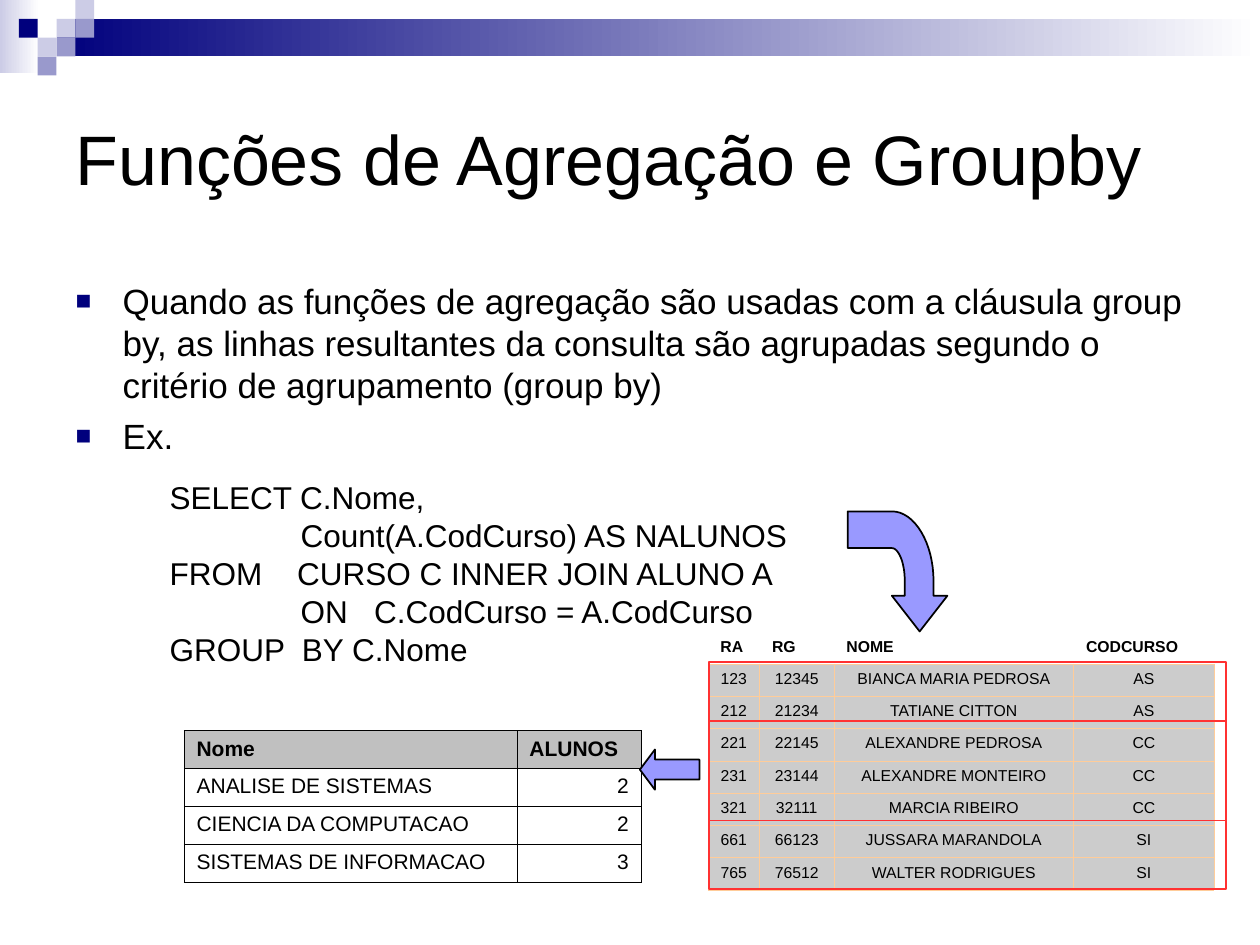
from dataclasses import dataclass
from typing import Any, NamedTuple, Optional, Sequence

import pptx
import pptx.dml.color
import pptx.enum.shapes
import pptx.enum.text
import pptx.oxml.xmlchemy
import pptx.util
from lxml import etree

Cm = pptx.util.Cm
Pt = pptx.util.Pt
Align = pptx.enum.text.PP_ALIGN
Anchor = pptx.enum.text.MSO_ANCHOR
Preset = pptx.enum.shapes.MSO_SHAPE
DRAWING = "{http://schemas.openxmlformats.org/drawingml/2006/main}"


@dataclass(frozen=True)
class Theme:
    font: str = "Arial"
    text: str = "000000"
    white: str = "FFFFFF"
    navy: str = "00007D"
    lavender: str = "CCCCE6"
    violet: str = "9999CC"
    arrow: str = "9999FF"
    group: str = "FF3131"
    header: str = "C0C0C0"
    row: str = "CCCCCC"
    grid: str = "FFCC99"
    title_size: float = 40
    body_size: float = 20
    code_size: float = 18
    result_size: float = 12
    student_size: float = 9


THEME = Theme()


class Box(NamedTuple):
    left: float
    top: float
    width: float
    height: float

    def lengths(self) -> list[int]:
        return [Cm(value) for value in self]


class Tile(NamedTuple):
    column: int
    row: int
    color: str


@dataclass(frozen=True)
class TableStyle:
    size: float
    border: str
    border_width: float
    header_fill: Optional[str]
    row_fill: str
    header_anchor: Any
    alignments: Sequence[Any]


def rgb(color: str) -> pptx.dml.color.RGBColor:
    return pptx.dml.color.RGBColor.from_string(color)


def add_bullet(paragraph: Any) -> None:
    properties = paragraph._p.get_or_add_pPr()
    properties.set("marL", str(Cm(0.95)))
    properties.set("indent", str(-Cm(0.95)))
    color = etree.SubElement(properties, DRAWING + "buClr")
    etree.SubElement(color, DRAWING + "srgbClr", val=THEME.navy)
    etree.SubElement(properties, DRAWING + "buSzPct", val="75000")
    etree.SubElement(properties, DRAWING + "buFont", typeface=THEME.font)
    etree.SubElement(properties, DRAWING + "buChar", char="■")


def write_text(frame: Any, text: str, *, size: float, bold: bool = False,
               align: Any = Align.LEFT, bullet: bool = False, left_margin: float = 0,
               space_before: float = 0, line_spacing: Optional[float] = None) -> None:
    for index, line in enumerate(text.split("\n")):
        paragraph = frame.add_paragraph() if index else frame.paragraphs[0]
        if bullet:
            add_bullet(paragraph)
        elif left_margin:
            paragraph._p.get_or_add_pPr().set("marL", str(Cm(left_margin)))
        paragraph.alignment = align
        paragraph.space_before = Pt(space_before if index else 0)
        if line_spacing:
            paragraph.line_spacing = Pt(line_spacing)
        run = paragraph.add_run()
        run.text = line
        run.font.name = THEME.font
        run.font.size = Pt(size)
        run.font.bold = bold
        run.font.color.rgb = rgb(THEME.text)


def format_shape(shape: Any, fill: Optional[str] = None, line: Optional[str] = None) -> None:
    shape.shadow.inherit = False
    if fill:
        shape.fill.solid()
        shape.fill.fore_color.rgb = rgb(fill)
    else:
        shape.fill.background()
    if line:
        shape.line.color.rgb = rgb(line)
        shape.line.width = Pt(1)
    else:
        shape.line.fill.background()


def add_preset(slide: Any, preset: Any, box: Box, fill: Optional[str] = None,
               line: Optional[str] = None) -> Any:
    shape = slide.shapes.add_shape(preset, *box.lengths())
    format_shape(shape, fill, line)
    return shape


def add_gradient(slide: Any, box: Box, start: str) -> None:
    shape = add_preset(slide, Preset.RECTANGLE, box)
    shape.fill.gradient()
    shape.fill.gradient_angle = 0
    for stop, color in zip(shape.fill.gradient_stops, (start, THEME.white)):
        stop.color.rgb = rgb(color)


def set_borders(cell: Any, style: TableStyle, visible: str) -> None:
    properties = cell._tc.get_or_add_tcPr()
    for side in "LRTB":
        border = etree.SubElement(properties, DRAWING + "ln" + side, w=str(Pt(style.border_width)))
        if side in visible:
            fill = etree.SubElement(border, DRAWING + "solidFill")
            etree.SubElement(fill, DRAWING + "srgbClr", val=style.border)
        else:
            etree.SubElement(border, DRAWING + "noFill")


def add_data_table(slide: Any, box: Box, widths: Sequence[float],
                   rows: Sequence[Sequence[str]], style: TableStyle) -> None:
    table = slide.shapes.add_table(len(rows), len(widths), *box.lengths()).table
    table.first_row = table.horz_banding = False
    for column, width in zip(table.columns, widths):
        column.width = Cm(width)
    for row_index, values in enumerate(rows):
        is_header = row_index == 0
        fill = style.header_fill if is_header else style.row_fill
        for column_index, value in enumerate(values):
            cell = table.cell(row_index, column_index)
            set_borders(cell, style, "LRTB" if fill else "B")
            if fill:
                cell.fill.solid()
                cell.fill.fore_color.rgb = rgb(fill)
            else:
                cell.fill.background()
            cell.vertical_anchor = style.header_anchor if is_header else Anchor.TOP
            align = Align.LEFT if is_header else style.alignments[column_index]
            write_text(cell.text_frame, value, size=style.size, bold=is_header, align=align)


def curve(*controls: tuple[float, float], steps: int = 16) -> list[tuple[float, float]]:
    def point(t: float) -> tuple[float, float]:
        weights = ((1 - t) ** 3, 3 * t * (1 - t) ** 2, 3 * t * t * (1 - t), t ** 3)
        x, y = (sum(w * c[axis] for w, c in zip(weights, controls)) for axis in (0, 1))
        return x, y
    return [point(step / steps) for step in range(steps + 1)]


def add_bent_arrow(slide: Any) -> None:
    outline = [(18.54, 12.73), (19.1, 12.01), (18.82, 12.01),
               *curve((18.82, 11.71), (18.82, 10.95), (18.44, 10.31), (17.98, 10.31)),
               (17.09, 10.31), (17.09, 11.05),
               *curve((17.98, 11.05), (18.11, 11.05), (18.24, 11.33), (18.24, 11.71)),
               (18.24, 12.01), (17.98, 12.01)]
    points = [(Cm(x), Cm(y)) for x, y in outline]
    builder = slide.shapes.build_freeform(*points[0])
    builder.add_line_segments(points[1:], close=True)
    format_shape(builder.convert_to_shape(), THEME.arrow, THEME.text)


def add_banner(slide: Any) -> None:
    add_gradient(slide, Box(0, 0, 0.79, 1.47), THEME.lavender)
    add_gradient(slide, Box(1.14, 0.38, 24.26, 0.76), THEME.navy)
    side = 0.38
    for tile in (Tile(3, 1, THEME.lavender), Tile(4, 0, THEME.lavender),
                 Tile(4, 1, THEME.violet), Tile(2, 2, THEME.lavender),
                 Tile(1, 1, THEME.navy), Tile(3, 2, THEME.violet), Tile(2, 3, THEME.violet)):
        box = Box(tile.column * side, tile.row * side, side, side)
        add_preset(slide, Preset.RECTANGLE, box, tile.color)


def place_placeholder(shape: Any, box: Box, anchor: Any) -> Any:
    shape.left, shape.top, shape.width, shape.height = box.lengths()
    shape.text_frame.auto_size = pptx.enum.text.MSO_AUTO_SIZE.NONE
    shape.text_frame.vertical_anchor = anchor
    return shape.text_frame


STUDENTS = [("RA", "RG", "NOME", "CODCURSO"),
            ("123", "12345", "BIANCA MARIA PEDROSA", "AS"),
            ("212", "21234", "TATIANE CITTON", "AS"),
            ("221", "22145", "ALEXANDRE PEDROSA", "CC"),
            ("231", "23144", "ALEXANDRE MONTEIRO", "CC"),
            ("321", "32111", "MARCIA RIBEIRO", "CC"),
            ("661", "66123", "JUSSARA MARANDOLA", "SI"),
            ("765", "76512", "WALTER RODRIGUES", "SI")]
COUNTS = [("Nome", "ALUNOS"), ("ANALISE DE SISTEMAS", "2"),
          ("CIENCIA DA COMPUTACAO", "2"), ("SISTEMAS DE INFORMACAO", "3")]
BULLETS = ("Quando as funções de agregação são usadas com a cláusula group by, as linhas "
           "resultantes da consulta são agrupadas segundo o critério de agrupamento (group by)\nEx.")
QUERY = """SELECT C.Nome,
               Count(A.CodCurso) AS NALUNOS
FROM    CURSO C INNER JOIN ALUNO A
               ON   C.CodCurso = A.CodCurso
GROUP  BY C.Nome"""


def main() -> None:
    presentation = pptx.Presentation()
    presentation.slide_width, presentation.slide_height = Cm(25.4), Cm(19.05)
    slide = presentation.slides.add_slide(presentation.slide_layouts[1])
    add_banner(slide)
    title = place_placeholder(slide.shapes.title, Box(1.27, 1.27, 22.86, 3.81), Anchor.MIDDLE)
    write_text(title, "Funções de Agregação e Groupby", size=THEME.title_size)
    body = place_placeholder(slide.placeholders[1], Box(1.27, 5.51, 23.24, 10.8), Anchor.TOP)
    write_text(body, BULLETS, size=THEME.body_size, bullet=True, space_before=5,
               line_spacing=1.2 * THEME.body_size)
    student_style = TableStyle(THEME.student_size, THEME.grid, 0.06, None, THEME.row,
                               Anchor.TOP, [Align.CENTER] * 4)
    add_data_table(slide, Box(14.27, 12.73, 10.21, 5.21), (1.04, 1.5, 4.83, 2.84),
                   STUDENTS, student_style)
    query = slide.shapes.add_textbox(*Box(1.9, 9.52, 17.15, 4.06).lengths()).text_frame
    query.word_wrap = True
    write_text(query, QUERY, size=THEME.code_size, left_margin=1.27,
               line_spacing=1.2 * THEME.code_size)
    edges = (13.34, 14.53, 16.54, 17.93)
    for top, bottom in zip(edges, edges[1:]):
        add_preset(slide, Preset.RECTANGLE, Box(14.3, top, 10.41, bottom - top), line=THEME.group)
    count_style = TableStyle(THEME.result_size, THEME.text, 0.34, THEME.header, THEME.white,
                             Anchor.MIDDLE, [Align.LEFT, Align.RIGHT])
    add_data_table(slide, Box(3.71, 14.73, 9.22, 3.05), (6.71, 2.51), COUNTS, count_style)
    add_bent_arrow(slide)
    arrow = add_preset(slide, Preset.LEFT_ARROW, Box(12.9, 15.11, 1.2, 0.81),
                       THEME.arrow, THEME.text)
    arrow.adjustments[0], arrow.adjustments[1] = 0.5, 0.375
    presentation.save("out.pptx")


if __name__ == "__main__":
    main()
